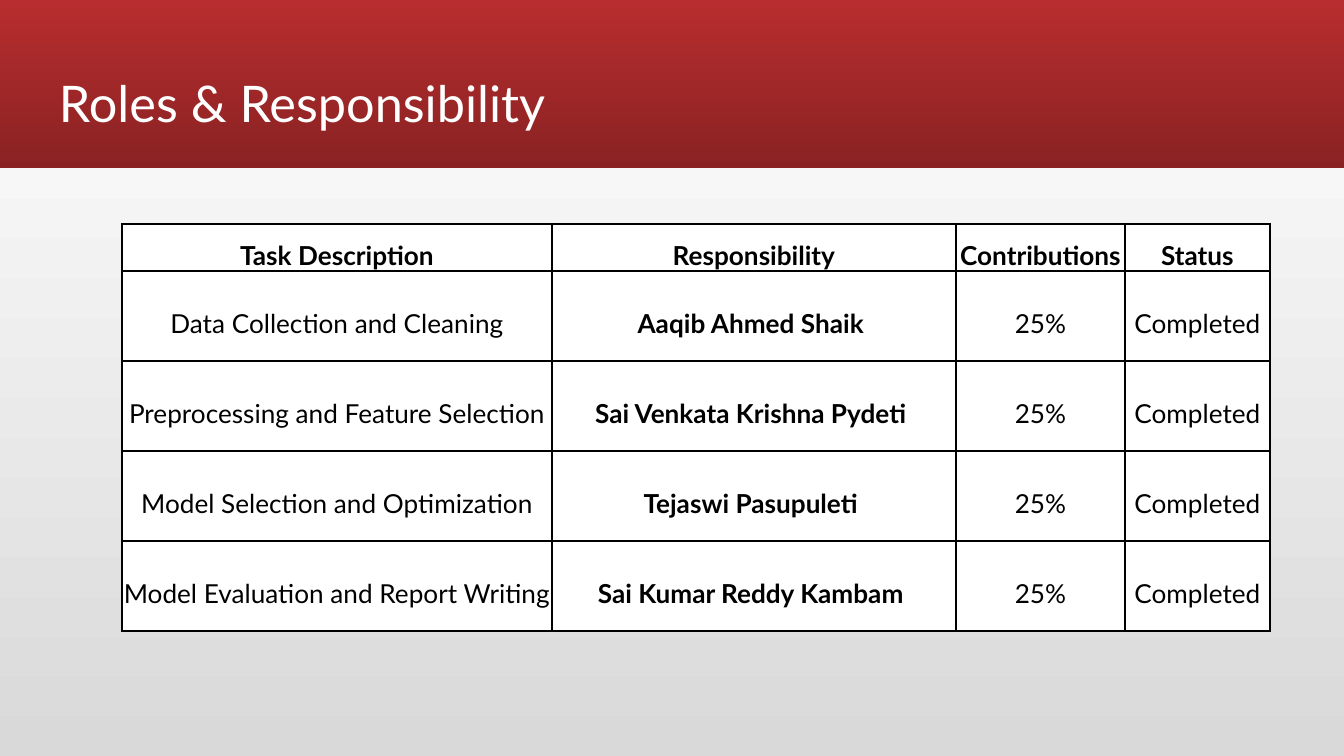
from lxml import etree
from pptx import Presentation
from pptx.dml.color import RGBColor
from pptx.enum.shapes import MSO_SHAPE
from pptx.enum.text import MSO_ANCHOR, PP_ALIGN
from pptx.oxml.ns import qn
from pptx.util import Pt

# Content
TITLE = "Roles & Responsibility"
HEADERS = ["Task Description", "Responsibility", "Contributions", "Status"]
ROLES = [
    ("Data Collection and Cleaning", "Aaqib Ahmed Shaik ", "25%", "Completed"),
    ("Preprocessing and Feature Selection", "Sai Venkata Krishna Pydeti ", "25%", "Completed"),
    ("Model Selection and Optimization", "Tejaswi Pasupuleti ", "25%", "Completed"),
    ("Model Evaluation and Report Writing", "Sai Kumar Reddy Kambam ", "25%", "Completed"),
]
NAME_COLUMN = 1

# Layout in px
SLIDE_W, SLIDE_H = 1344, 756
BANNER_H = 168
TITLE_BOX = (46, 66, 1252, 85)
TITLE_INSET = 13
TABLE_LEFT, TABLE_TOP = 122, 224
COLUMN_WIDTHS = [430, 404, 169, 145]
HEADER_H, ROW_H = 42, 90

# Style
FONT = "Lato"
BLACK = RGBColor(0x00, 0x00, 0x00)
WHITE = RGBColor(0xFF, 0xFF, 0xFF)
GREY = RGBColor(0xD9, 0xD9, 0xD9)
RED = RGBColor(0xB8, 0x2D, 0x2F)
DARK_RED = RGBColor(0x8A, 0x22, 0x23)
UPWARD, DOWNWARD = 90, 270
RECTANGLE = MSO_SHAPE.RECTANGLE
TOP, MIDDLE, BOTTOM = MSO_ANCHOR.TOP, MSO_ANCHOR.MIDDLE, MSO_ANCHOR.BOTTOM
CENTER = PP_ALIGN.CENTER


def px(length):
    return round(length * 9144000 / SLIDE_W)


def set_gradient(fill, colors, angle):
    fill.gradient()
    fill.gradient_angle = angle
    for stop, color in zip(fill.gradient_stops, colors):
        stop.color.rgb = color


def set_insets(area, inset):
    area.margin_left = area.margin_right = px(inset)
    area.margin_top = area.margin_bottom = px(inset)


def write(frame, text, size, color, spacing, bold=False):
    paragraph = frame.paragraphs[0]
    paragraph.text = text
    paragraph.line_spacing = spacing
    font = paragraph.font
    font.name, font.size, font.bold = FONT, Pt(size), bold
    font.color.rgb = color
    return paragraph


def add_borders(cell, color, width):
    properties = cell._tc.get_or_add_tcPr()
    for position, side in enumerate(("lnL", "lnR", "lnT", "lnB")):
        line = etree.Element(qn(f"a:{side}"), w=str(Pt(width)))
        fill = etree.SubElement(line, qn("a:solidFill"))
        etree.SubElement(fill, qn("a:srgbClr"), val=str(color))
        properties.insert(position, line)


def main():
    prs = Presentation()
    prs.slide_width, prs.slide_height = px(SLIDE_W), px(SLIDE_H)
    slide = prs.slides.add_slide(prs.slide_layouts[6])
    set_gradient(slide.background.fill, (GREY, WHITE), UPWARD)

    # Banner
    banner = slide.shapes.add_shape(RECTANGLE, 0, 0, px(SLIDE_W), px(BANNER_H))
    banner.shadow.inherit = False
    banner.line.fill.background()
    set_gradient(banner.fill, (RED, DARK_RED), DOWNWARD)

    # Title
    title = slide.shapes.add_textbox(*map(px, TITLE_BOX)).text_frame
    title.word_wrap = True
    title.vertical_anchor = TOP
    set_insets(title, TITLE_INSET)
    write(title, TITLE, 27, WHITE, 0.9)

    # Roles table
    rows = [HEADERS] + ROLES
    heights = [HEADER_H] + [ROW_H] * len(ROLES)
    table = slide.shapes.add_table(
        len(rows), len(HEADERS), px(TABLE_LEFT), px(TABLE_TOP),
        px(sum(COLUMN_WIDTHS)), px(sum(heights))).table
    for column, width in zip(table.columns, COLUMN_WIDTHS):
        column.width = px(width)
    for r, (values, height) in enumerate(zip(rows, heights)):
        table.rows[r].height = px(height)
        is_header = r == 0
        for c, value in enumerate(values):
            cell = table.cell(r, c)
            cell.fill.solid()
            cell.fill.fore_color.rgb = WHITE
            cell.vertical_anchor = BOTTOM if is_header else MIDDLE
            set_insets(cell, 0)
            bold = is_header or c == NAME_COLUMN
            write(cell.text_frame, value, 14, BLACK, 1.5, bold).alignment = CENTER
            add_borders(cell, BLACK, 1.5)

    prs.save("out.pptx")


if __name__ == "__main__":
    main()
